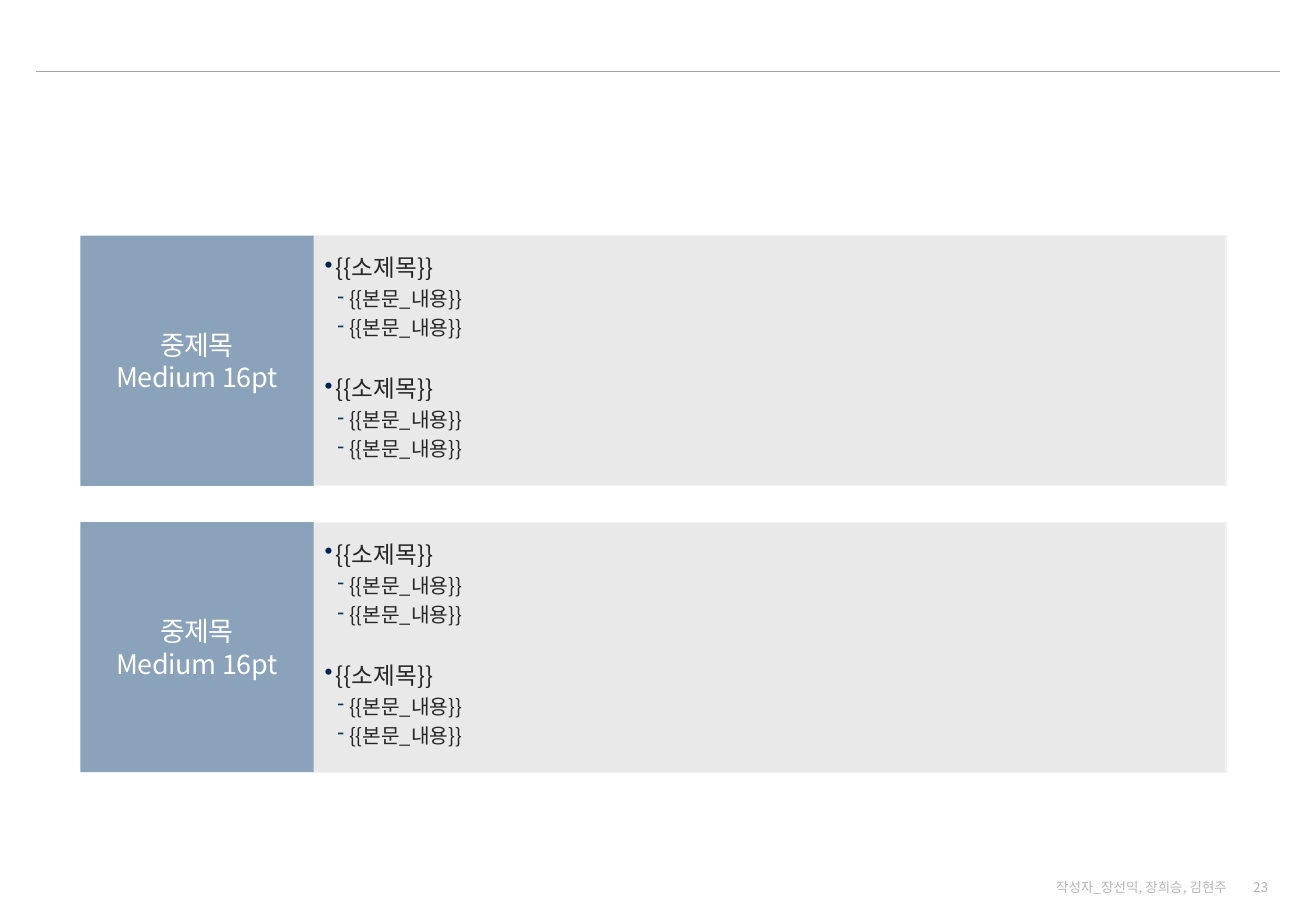
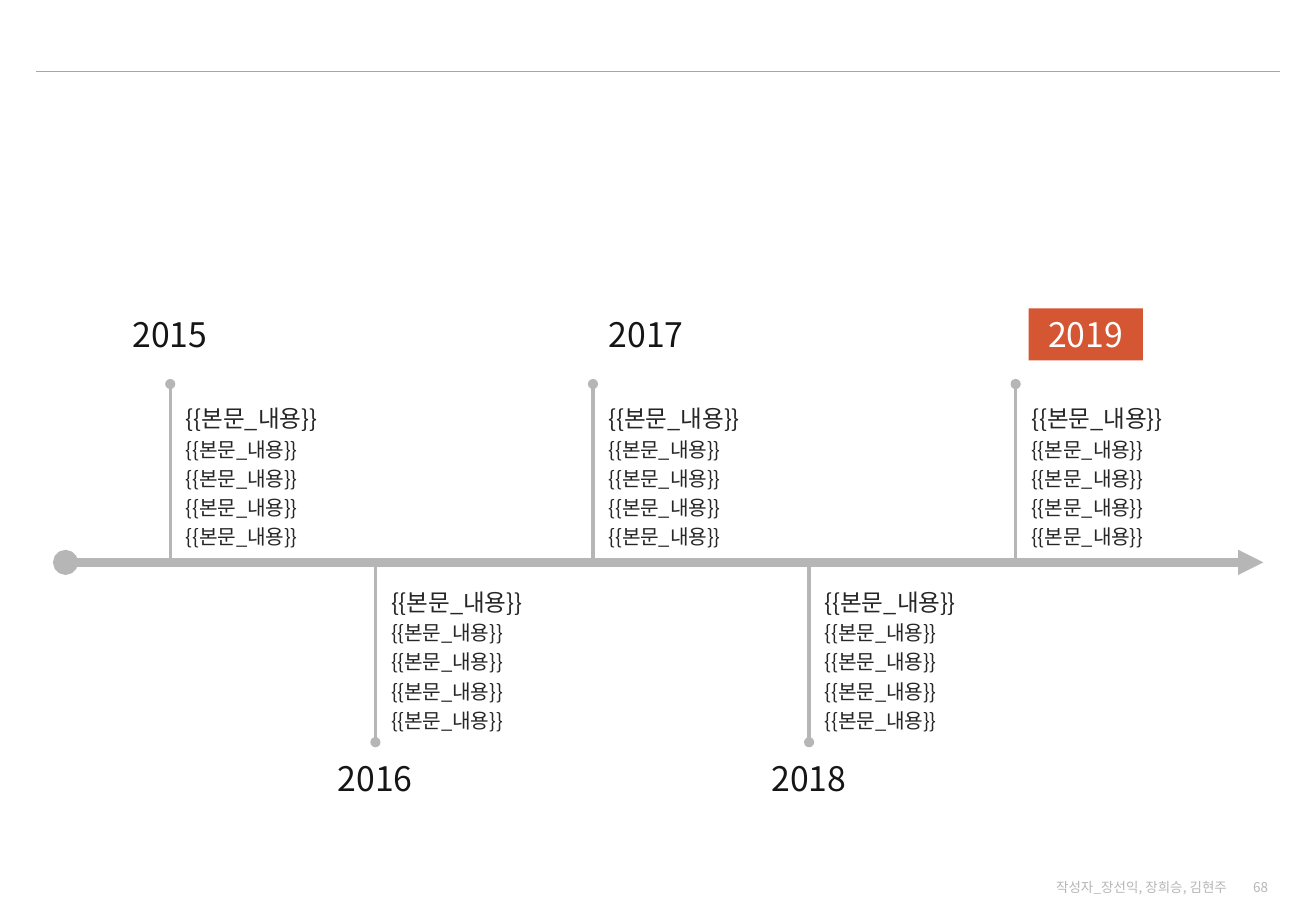
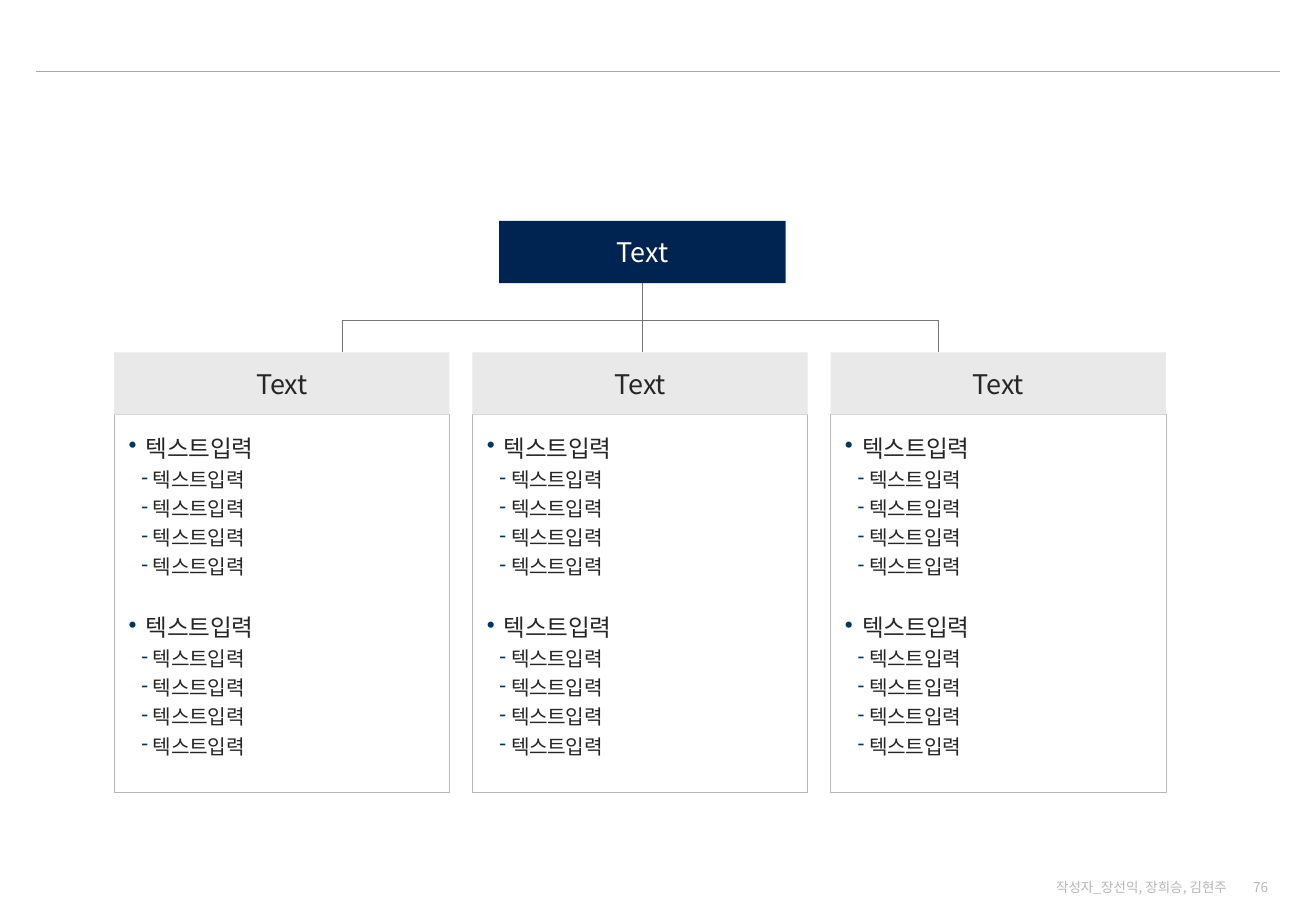
from dataclasses import dataclass

from lxml import etree
from pptx import Presentation
from pptx import util as u
from pptx.dml.color import RGBColor
from pptx.enum import shapes, text as t
from pptx.oxml.ns import qn


@dataclass(frozen=True)
class Theme:
    font: str = "Noto Sans CJK KR"
    # colours
    white: str = "FFFFFF"
    ink: str = "262626"
    black: str = "161516"
    navy: str = "002452"
    dash: str = "003760"
    steel: str = "8BA2BB"
    pale: str = "E9E9E9"
    edge: str = "F2F2F2"
    gray: str = "B6B6B6"
    rule: str = "A6A6A6"
    wire: str = "757575"
    red: str = "D55633"
    # type sizes in points
    year: int = 20
    head: int = 16
    sub: int = 14
    body: int = 12
    foot: int = 8


T = Theme()
MID = t.MSO_ANCHOR.MIDDLE
TOP = t.MSO_ANCHOR.TOP
LEFT, CENTER, RIGHT = t.PP_ALIGN.LEFT, t.PP_ALIGN.CENTER, t.PP_ALIGN.RIGHT
AUTHOR = "작성자_장선익, 장희승, 김현주"


def rgb(code):
    return RGBColor.from_string(code)


# Basic elements

def box(slide, x, y, w, h, fill=None, line=None, width=0.75,
        anchor=MID, pad=(0.25, 0.13)):
    """Add a text box, or a rectangle when a fill is given."""
    area = [u.Cm(v) for v in (x, y, w, h)]
    if fill:
        item = slide.shapes.add_shape(shapes.MSO_SHAPE.RECTANGLE, *area)
        item.shadow.inherit = False
        item.fill.solid()
        item.fill.fore_color.rgb = rgb(fill)
        if line:
            item.line.color.rgb = rgb(line)
            item.line.width = u.Pt(width)
        else:
            item.line.fill.background()
    else:
        item = slide.shapes.add_textbox(*area)
    frame = item.text_frame
    frame.word_wrap = True
    frame.vertical_anchor = anchor
    frame.margin_left = frame.margin_right = u.Cm(pad[0])
    frame.margin_top = frame.margin_bottom = u.Cm(pad[1])
    return item


def write(item, words, size=T.body, color=T.ink, align=LEFT, lead=None,
          before=0, track=0, mark=None, tint=T.dash, left=0, hang=0, level=0):
    """Add one paragraph; track is letter spacing in points."""
    frame = item.text_frame
    par = frame.paragraphs[-1]
    if par.runs:
        par = frame.add_paragraph()
    par.alignment = align
    par.level = level
    if lead:
        par.line_spacing = lead
    if before:
        par.space_before = u.Pt(before)
    run = par.add_run()
    run.text = words
    run.font.size = u.Pt(size)
    run.font.name = T.font
    run.font.color.rgb = rgb(color)
    props = run._r.get_or_add_rPr()
    etree.SubElement(props, qn("a:ea"), typeface=T.font)
    if track:
        props.set("spc", str(round(track * 100)))
    if mark:
        props = par._p.get_or_add_pPr()
        props.set("marL", str(u.Cm(left)))
        props.set("indent", str(u.Cm(-hang)))
        shade = etree.SubElement(props, qn("a:buClr"))
        etree.SubElement(shade, qn("a:srgbClr"), val=tint)
        etree.SubElement(props, qn("a:buChar"), char=mark)


def line(slide, x1, y1, x2, y2, color, width=0.75, head=None, tail=None):
    ends = [u.Cm(v) for v in (x1, y1, x2, y2)]
    item = slide.shapes.add_connector(shapes.MSO_CONNECTOR.STRAIGHT, *ends)
    item.line.color.rgb = rgb(color)
    item.line.width = u.Pt(width)
    stroke = item.line._get_or_add_ln()
    for tag, kind in (("a:headEnd", head), ("a:tailEnd", tail)):
        if kind:
            etree.SubElement(stroke, qn(tag), type=kind)
    etree.SubElement(item._element.spPr, qn("a:effectLst"))


# Shared parts

def start(deck, number):
    """Add a blank slide with the top rule and footer."""
    slide = deck.slides.add_slide(deck.slide_layouts[6])
    line(slide, 0.76, 1.5, 26.77, 1.5, T.rule)
    for x, w, words in ((25.73, 1.04, str(number)), (21.64, 4.27, AUTHOR)):
        write(box(slide, x, 18.34, w, 0.41), words,
              size=T.foot, color=T.gray, align=RIGHT)
    return slide


def bullets(item, title, words, count, left, tint, track=0):
    """Write two groups, each a bullet with dashed lines below it."""
    for before in (0, 17):
        write(item, title, size=T.sub, lead=1.2, before=before, track=track,
              mark="•", tint=tint, left=left, hang=left, level=1)
        for _ in range(count):
            write(item, words, lead=1.2, track=track,
                  mark="‐", left=0.51, hang=0.25, level=2)


# Slides

def panels(deck):
    slide = start(deck, 23)
    pad = (0.25, 0.25)
    for y in (4.93, 10.92):
        panel = box(slide, 6.54, y, 19.1, 5.23, fill=T.pale, line=T.edge,
                    anchor=TOP, pad=pad)
        bullets(panel, "{{소제목}}", "{{본문_내용}}", 2, 0.23, T.navy)
        label = box(slide, 1.68, y, 4.88, 5.23, fill=T.steel, pad=pad)
        for words in ("중제목", "Medium 16pt"):
            write(label, words, size=T.head, color=T.white,
                  align=CENTER, track=-0.2)


def timeline(deck):
    slide = start(deck, 68)
    axis = 11.76
    line(slide, 1.37, axis, 26.42, axis, T.gray, 5,
         head="oval", tail="triangle")
    # year, stem position, year box offset from the stem
    events = (("2015", 3.56, -1.2), ("2016", 7.85, -1.2),
              ("2017", 12.4, -0.08), ("2018", 16.92, -1.2),
              ("2019", 21.24, 0.27))
    for i, (year, x, shift) in enumerate(events):
        # stem end, note top and year top alternate above and below
        end, note, top = (15.52, 12.04, 15.72) if i % 2 else (8.03, 8.2, 6.45)
        line(slide, x, end, x, axis, T.gray, 2, head="oval")
        now = year == "2019"
        tag = box(slide, x + shift, top, 2.39, 1.09,
                  fill=T.red if now else None)
        write(tag, year, size=T.year, align=CENTER,
              color=T.white if now else T.black)
        notes = box(slide, x + 0.08, note, 4.67, 3.4)
        for size in [T.sub] + [T.body] * 4:
            write(notes, "{{본문_내용}}", size=size, lead=1.2, track=-0.2)


def tree(deck):
    slide = start(deck, 76)
    stems = (7.16, 13.44, 19.63)
    bar, top = 6.7, 7.37
    # branches
    line(slide, stems[0], bar, stems[-1], bar, T.wire)
    line(slide, stems[1], 5.77, stems[1], bar, T.wire)
    for x in stems:
        line(slide, x, bar, x, top, T.wire)
    # root
    root = box(slide, 10.44, 4.62, 5.99, 1.3, fill=T.navy)
    write(root, "Text", size=T.head, color=T.white, align=CENTER)
    # columns
    for i in range(3):
        x = 2.39 + i * 7.49
        body = box(slide, x, 8.66, 7.01, 7.9, fill=T.white, line=T.gray,
                   width=0.25, anchor=TOP, pad=(0.3, 0.3))
        bullets(body, "텍스트입력", "텍스트입력", 4, 0.36, T.dash, track=-0.2)
        head = box(slide, x, top, 7.01, 1.3, fill=T.pale)
        write(head, "Text", size=T.head, align=CENTER)


def main():
    deck = Presentation()
    deck.slide_width, deck.slide_height = u.Cm(27.52), u.Cm(19.05)
    panels(deck)
    timeline(deck)
    tree(deck)
    deck.save("out.pptx")


if __name__ == "__main__":
    main()
